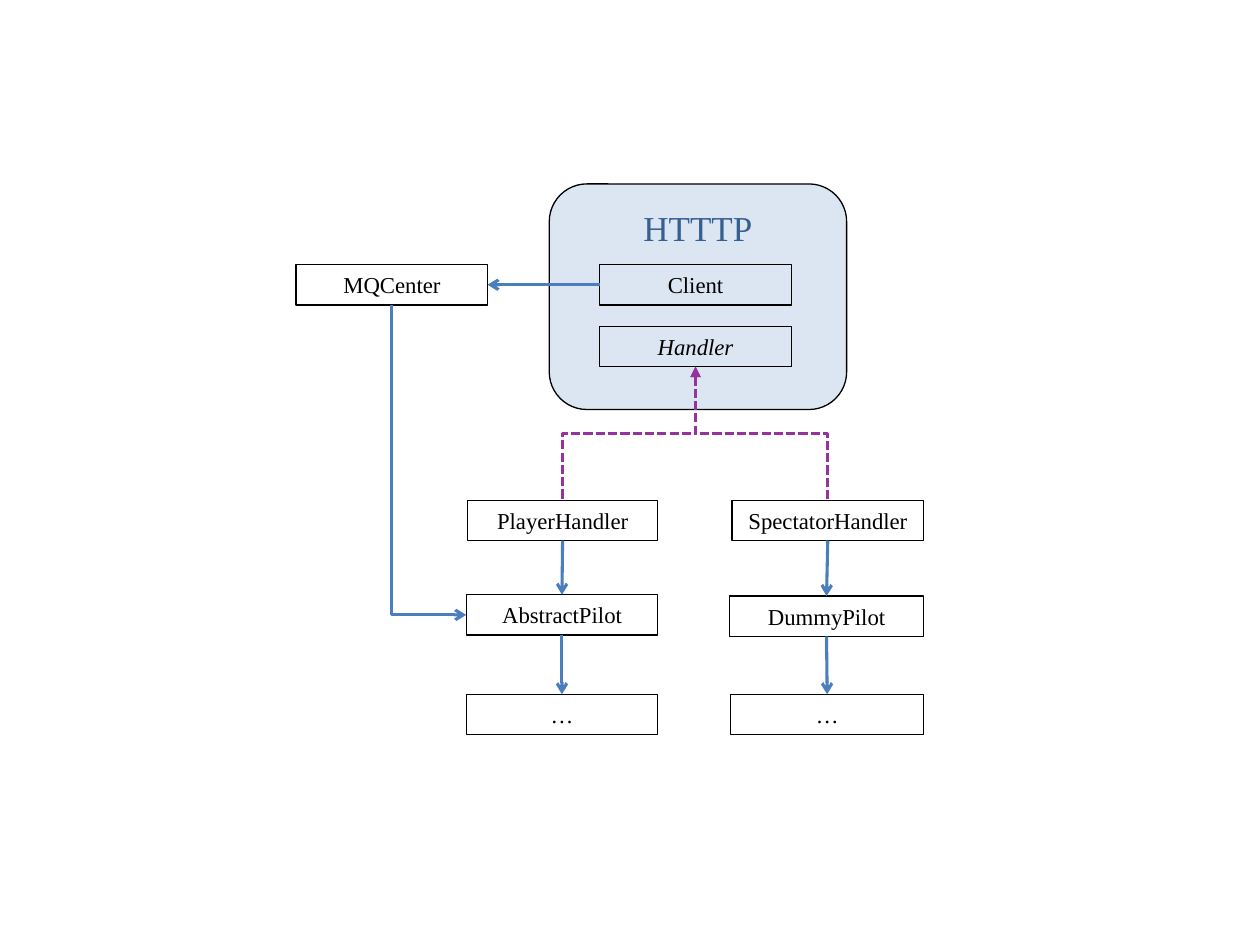
"""Build the HTTTP handler and pilot class diagram."""
from lxml.etree import SubElement
from pptx import Presentation
from pptx.dml.color import RGBColor
from pptx.enum.dml import MSO_LINE
from pptx.enum.shapes import MSO_CONNECTOR, MSO_SHAPE
from pptx.enum.text import MSO_ANCHOR, PP_ALIGN
from pptx.oxml.ns import qn
from pptx.util import Inches, Pt

BLUE, PURPLE = "4B7EBC", "96329E"
TOP, LEFT, BOTTOM, RIGHT = range(4)
HIGH = 0.32
BOXES = {
    "spectator": ("SpectatorHandler", 5.81, 3.97, 1.52),
    "player": ("PlayerHandler", 3.71, 3.97, 1.51),
    "center": ("MQCenter", 2.35, 2.1, 1.52),
    "abstract": ("AbstractPilot", 3.7, 4.72, 1.52),
    "dummy": ("DummyPilot", 5.79, 4.73, 1.54),
    "more": ("…", 3.7, 5.51, 1.52),
    "rest": ("…", 5.8, 5.51, 1.53),
    "client": ("Client", 4.76, 2.1, 1.52),
    "handler": ("Handler", 4.76, 2.59, 1.52),
}
DOWN = [("dummy", "rest"), ("spectator", "dummy"),
        ("abstract", "more"), ("player", "abstract")]


def color(code):
    return RGBColor.from_string(code)


def write(shape, text, size=13, ink="000000", italic=False,
          anchor=MSO_ANCHOR.MIDDLE, inset=0):
    frame = shape.text_frame
    frame.word_wrap = True
    frame.vertical_anchor = anchor
    frame.margin_left = frame.margin_right = frame.margin_bottom = 0
    frame.margin_top = Inches(inset)
    para = frame.paragraphs[0]
    para.alignment = PP_ALIGN.CENTER
    run = para.add_run()
    run.text = text
    font = run.font
    font.name, font.size, font.italic = "Times New Roman", Pt(size), italic
    font.color.rgb = color(ink)


def block(kind, left, top, width, height, fill=None):
    shape = slide.shapes.add_shape(
        kind, Inches(left), Inches(top), Inches(width), Inches(height))
    shape.shadow.inherit = False
    if fill:
        shape.fill.solid()
        shape.fill.fore_color.rgb = color(fill)
    else:
        shape.fill.background()
    shape.line.color.rgb = color("000000")
    shape.line.width = Pt(0.75)
    return shape


def link(start, exit, end, entry, ink=BLUE, mark="tailEnd", head="arrow",
         kind=MSO_CONNECTOR.STRAIGHT, dash=None):
    line = slide.shapes.add_connector(kind, 0, 0, 0, 0)
    line.begin_connect(nodes[start], exit)
    line.end_connect(nodes[end], entry)
    line.line.color.rgb = color(ink)
    line.line.width = Pt(1.75)
    if dash:
        line.line.dash_style = dash
    SubElement(line.line._get_or_add_ln(), qn("a:" + mark), type=head)
    SubElement(line._element.spPr, qn("a:effectLst"))
    return line


def bend(line, turn, flip=False, preset="bentConnector3"):
    wide, tall = line.width, line.height
    mid, level = line.left + wide // 2, line.top + tall // 2
    if turn % 180:
        wide, tall = tall, wide
    line.left, line.top = mid - wide // 2, level - tall // 2
    line.width, line.height = wide, tall
    props = line._element.spPr
    frame = props.find(qn("a:xfrm"))
    frame.set("rot", str(turn * 60000))
    frame.set("flipH", str(int(flip)))
    frame.set("flipV", "0")
    props.find(qn("a:prstGeom")).set("prst", preset)


deck = Presentation()
deck.slide_width, deck.slide_height = Inches(10), Inches(7.5)
slide = deck.slides.add_slide(deck.slide_layouts[6])

panel = block(MSO_SHAPE.ROUNDED_RECTANGLE, 4.36, 1.46, 2.36, 1.79, "DCE6F2")
write(panel, "HTTTP", size=20, ink="376092", anchor=MSO_ANCHOR.TOP, inset=0.09)

nodes = {}
for key, (label, left, top, width) in BOXES.items():
    nodes[key] = block(MSO_SHAPE.RECTANGLE, left, top, width, HIGH)
    write(nodes[key], label, italic=key == "handler")

for child, turn, flip in (("spectator", 270, True), ("player", 90, False)):
    bend(link("handler", BOTTOM, child, TOP, PURPLE, "headEnd", "triangle",
              MSO_CONNECTOR.ELBOW, MSO_LINE.SQUARE_DOT), turn, flip)
for start, end in DOWN:
    link(start, BOTTOM, end, TOP)
link("center", RIGHT, "client", LEFT, mark="headEnd")
bend(link("abstract", LEFT, "center", BOTTOM, mark="headEnd",
          kind=MSO_CONNECTOR.ELBOW), 180, preset="bentConnector2")

deck.save("out.pptx")
